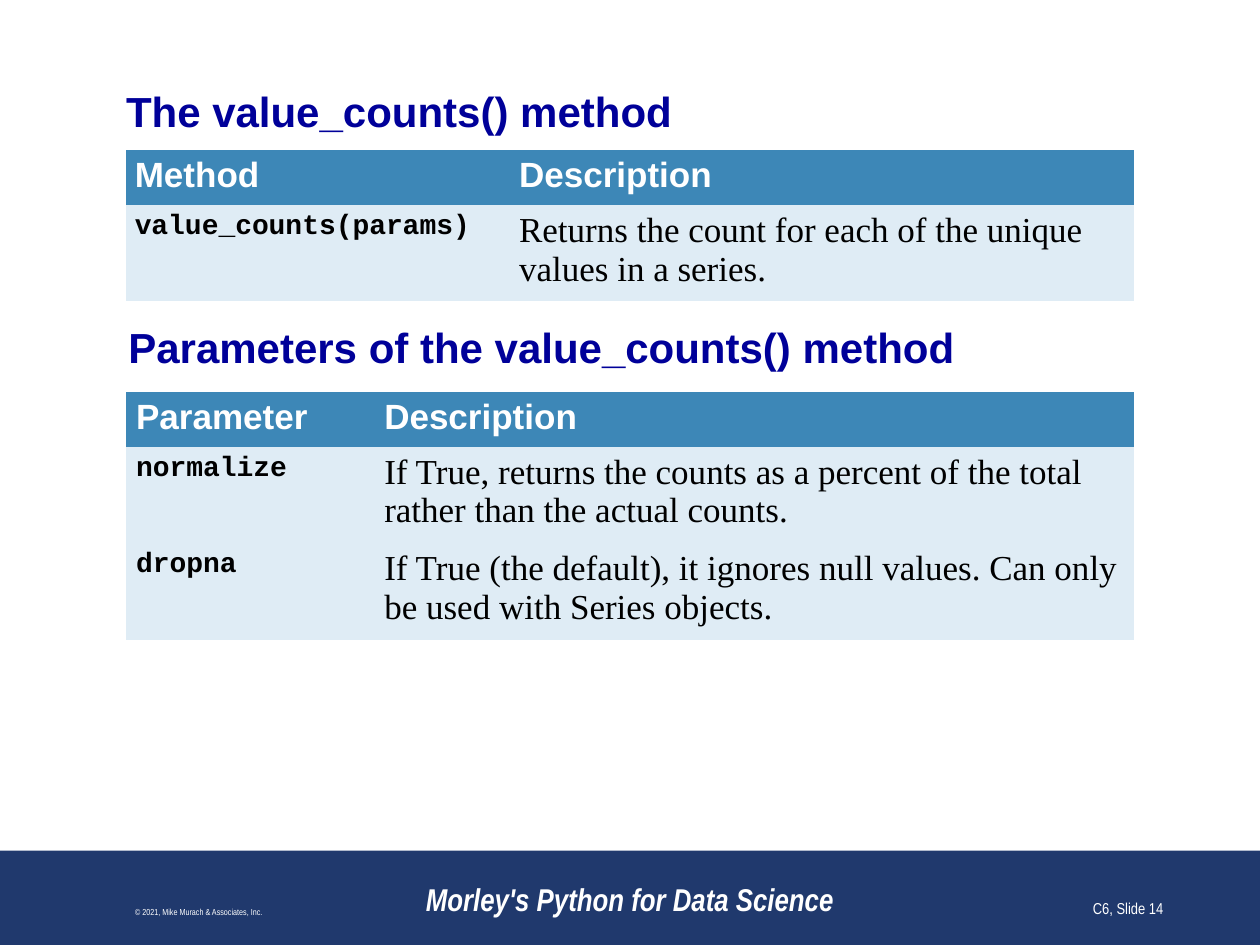
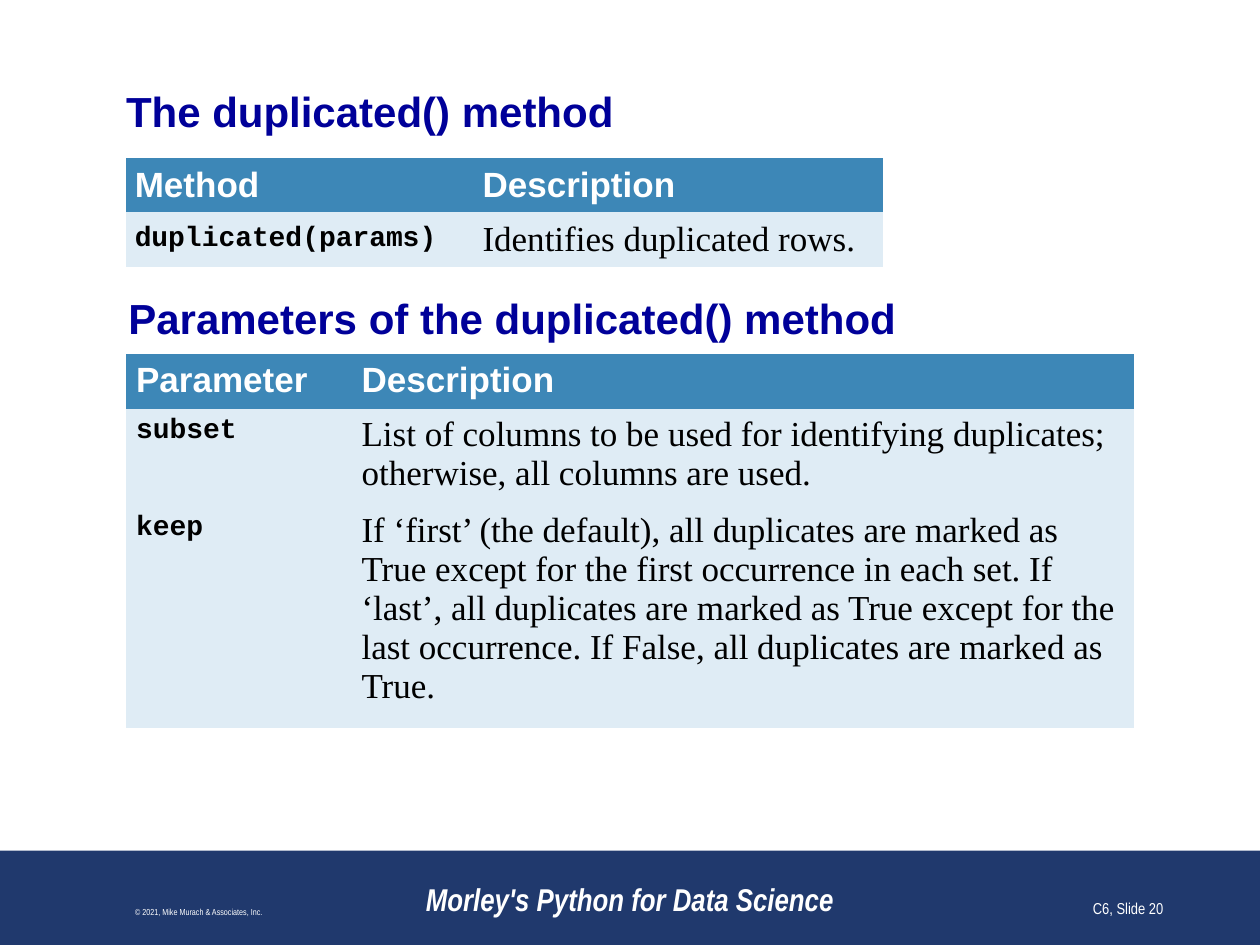
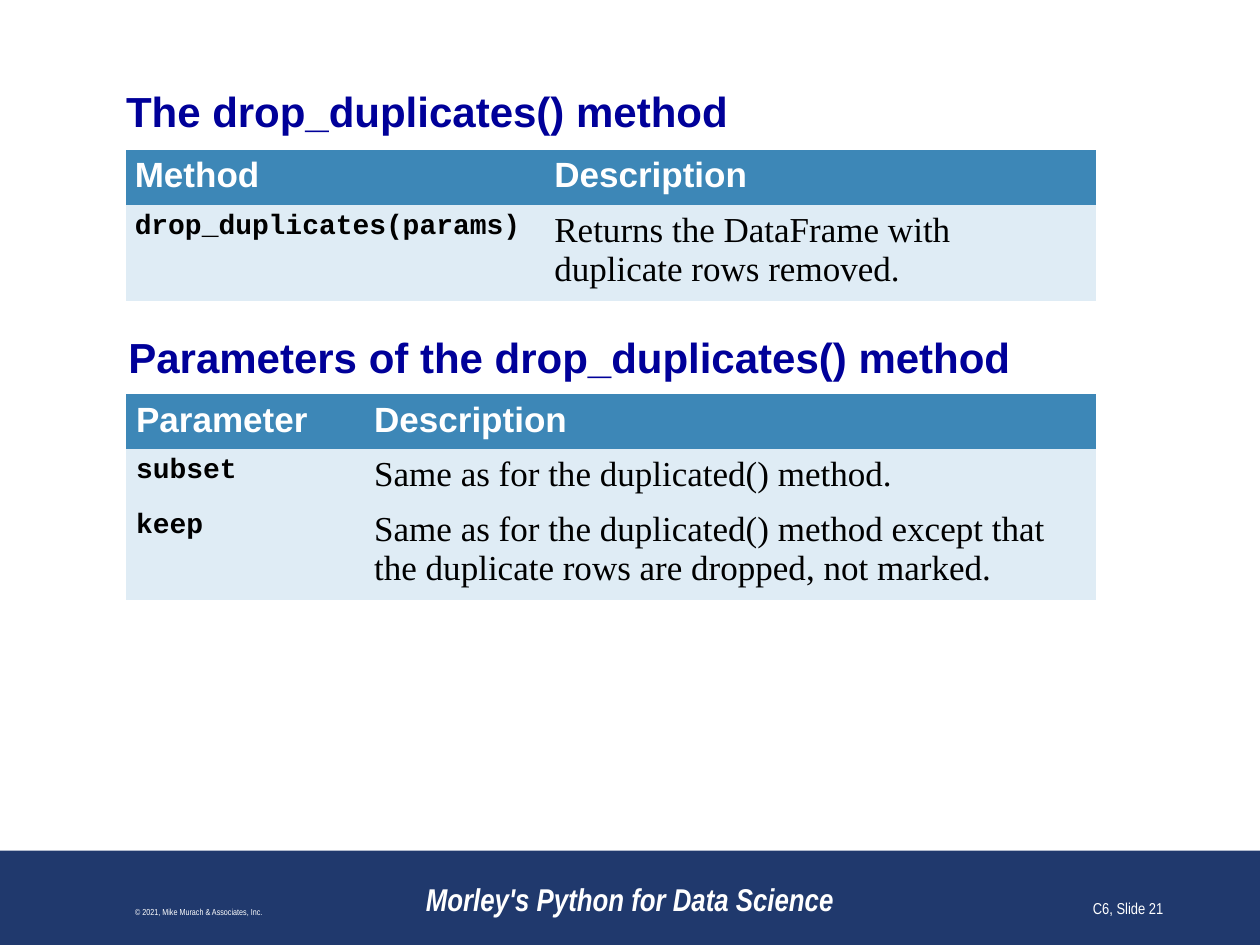
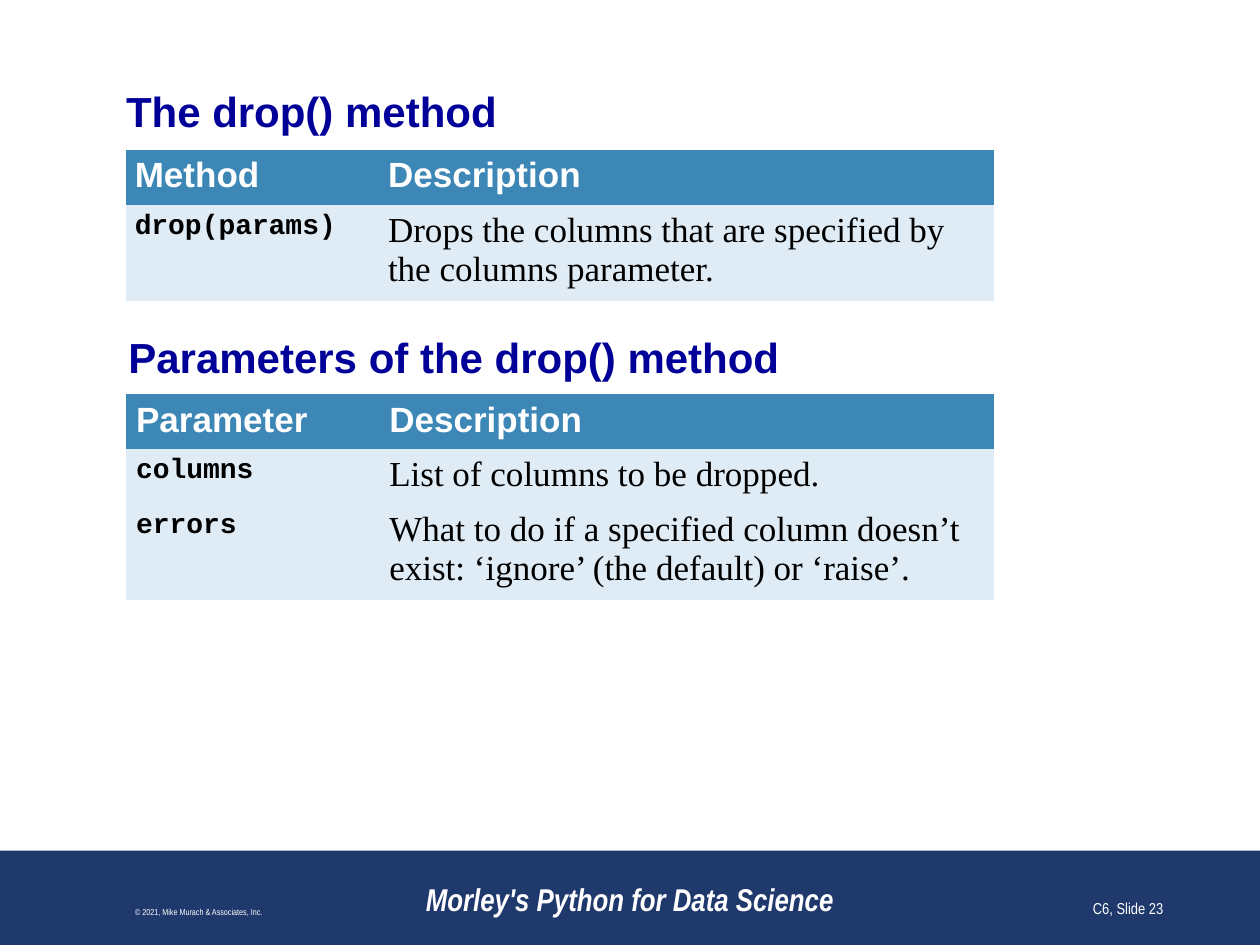
from dataclasses import dataclass

from pptx import Presentation
from pptx import util as u
from pptx.dml.color import RGBColor
from pptx.enum import shapes, text


@dataclass(frozen=True)
class Theme:
    band: str = "20396D"
    title: str = "000099"
    head: str = "3D87B7"
    body: str = "DFECF5"
    white: str = "FFFFFF"
    black: str = "000000"
    sans: str = "Arial"
    slim: str = "Arial Narrow"
    code: str = "Courier New"
    serif: str = "Times New Roman"
    big: int = 24
    mid: int = 20
    small: int = 16
    book: int = 18
    page: int = 9
    tiny: int = 5


@dataclass
class Grid:
    top: float
    width: float
    height: float
    first: float
    inset: float
    rows: list
    anchor: text.MSO_ANCHOR = text.MSO_ANCHOR.TOP


@dataclass
class Page:
    num: int
    name: str
    calls: Grid
    sub: tuple
    params: Grid


T = Theme()
NO_STYLE = "{2D5ABB26-0587-4C30-8999-92F81FD0307C}"
LEFT = 1
TOP = text.MSO_ANCHOR.TOP
MID = text.MSO_ANCHOR.MIDDLE
LOW = text.MSO_ANCHOR.BOTTOM
ALIGN = text.PP_ALIGN

PAGES = [
    Page(14, "value_counts()",
         Grid(1.19, 8, 1.2, 3.05, 0.07, [
             ("Method", "Description"),
             ("value_counts(params)",
              "Returns the count for each of the unique values in a series.")]),
         (2.5, 0.5),
         Grid(3.11, 8, 1.97, 1.97, 0.08, [
             ("Parameter", "Description"),
             ("normalize", "If True, returns the counts as a percent of the total "
                           "rather than the actual counts."),
             ("dropna", "If True (the default), it ignores null values. "
                        "Can only be used with Series objects.")])),
    Page(20, "duplicated()",
         Grid(1.25, 6.01, 0.87, 2.76, 0.07, [
             ("Method", "Description"),
             ("duplicated(params)", "Identifies duplicated rows.")], MID),
         (2.27, 0.57),
         Grid(2.81, 8, 2.97, 1.79, 0.08, [
             ("Parameter", "Description"),
             ("subset", "List of columns to be used for identifying duplicates; "
                        "otherwise, all columns are used."),
             ("keep", "If ‘first’ (the default), all duplicates are marked as True "
                      "except for the first occurrence in each set. If ‘last’, all "
                      "duplicates are marked as True except for the last occurrence. "
                      "If False, all duplicates are marked as True.")])),
    Page(21, "drop_duplicates()",
         Grid(1.19, 7.7, 1.2, 3.33, 0.07, [
             ("Method", "Description"),
             ("drop_duplicates(params)",
              "Returns the DataFrame with duplicate rows removed.")]),
         (2.58, 0.5),
         Grid(3.13, 7.7, 1.63, 1.89, 0.08, [
             ("Parameter", "Description"),
             ("subset", "Same as for the duplicated() method."),
             ("keep", "Same as for the duplicated() method except that "
                      "the duplicate rows are dropped, not marked.")])),
    Page(23, "drop()",
         Grid(1.19, 6.89, 1.2, 2.01, 0.07, [
             ("Method", "Description"),
             ("drop(params)",
              "Drops the columns that are specified by the columns parameter.")]),
         (2.58, 0.5),
         Grid(3.13, 6.89, 1.63, 2.01, 0.08, [
             ("Parameter", "Description"),
             ("columns", "List of columns to be dropped."),
             ("errors", "What to do if a specified column doesn’t exist: "
                        "‘ignore’ (the default) or ‘raise’.")])),
]


def paint(item, color):
    item.fill.solid()
    item.fill.fore_color.rgb = RGBColor.from_string(color)


def write(frame, words, face, size, color, bold=False, slant=False, align=ALIGN.LEFT):
    para = frame.paragraphs[0]
    para.alignment = align
    run = para.add_run()
    run.text = words
    font = run.font
    font.name, font.size = face, u.Pt(size)
    font.bold, font.italic = bold, slant
    font.color.rgb = RGBColor.from_string(color)


def add_box(slide, left, top, width, height, anchor):
    box = slide.shapes.add_textbox(*map(u.Inches, (left, top, width, height)))
    box.text_frame.word_wrap = True
    box.text_frame.vertical_anchor = anchor
    return box


def add_band(slide, layout):
    band = slide.shapes.add_shape(shapes.MSO_SHAPE.RECTANGLE, 0, u.Inches(6.75),
                                  u.Inches(10), u.Inches(0.75))
    band.shadow.inherit = False
    paint(band, T.band)
    band.line.fill.background()
    layout.shapes._spTree.insert(2, band._element)


def add_title(slide, words):
    title = slide.shapes.title
    title.left, title.top = u.Inches(LEFT), u.Inches(0.68)
    title.width, title.height = u.Inches(8), u.Inches(0.4)
    frame = title.text_frame
    frame.margin_left = frame.margin_right = 0
    frame.margin_top = frame.margin_bottom = 0
    frame.vertical_anchor = MID
    frame.auto_size = text.MSO_AUTO_SIZE.SHAPE_TO_FIT_TEXT
    write(frame, words, T.sans, T.big, T.title, True)


def add_sub(slide, words, top, height):
    box = add_box(slide, 0.92, top, 8.08, height, TOP)
    paint(box, T.white)
    write(box.text_frame, words, T.sans, T.big, T.title, True)


def add_grid(slide, grid):
    frame = slide.shapes.add_table(len(grid.rows), 2, u.Inches(LEFT), u.Inches(grid.top),
                                   u.Inches(grid.width), u.Inches(grid.height))
    table = frame.table
    table.horz_banding = False
    table._tbl.tblPr[0].text = NO_STYLE
    table.columns[0].width = u.Inches(grid.first)
    table.columns[1].width = u.Inches(grid.width - grid.first)
    for r, row in enumerate(grid.rows):
        table.rows[r].height = u.Inches(0.25)
        for c, words in enumerate(row):
            cell = table.cell(r, c)
            cell.margin_left = cell.margin_right = u.Inches(grid.inset)
            cell.margin_top = cell.margin_bottom = u.Inches(0.05)
            cell.vertical_anchor = grid.anchor
            paint(cell, T.body if r else T.head)
            if r == 0:
                style = (T.sans, T.mid, T.white, True)
            elif c == 0:
                style = (T.code, T.small, T.black, True)
            else:
                style = (T.serif, T.mid, T.black)
            write(cell.text_frame, words, *style)
    frame.height = u.Inches(grid.height)


def add_foot(slide, num):
    notes = [
        (3, 4, "Morley's Python for Data Science", T.book, True, ALIGN.CENTER),
        (0.08, 3, "© 2021, Mike Murach & Associates, Inc.", T.tiny, False, ALIGN.CENTER),
        (7.25, 2.08, f"C6, Slide {num}", T.page, False, ALIGN.RIGHT),
    ]
    for left, width, words, size, strong, align in notes:
        box = add_box(slide, left, 6.83, width, 0.5, LOW)
        write(box.text_frame, words, T.slim, size, T.white, strong, strong, align)


def main():
    deck = Presentation()
    deck.slide_width, deck.slide_height = u.Inches(10), u.Inches(7.5)
    layout = deck.slide_layouts[5]
    for page in PAGES:
        slide = deck.slides.add_slide(layout)
        if page is PAGES[0]:
            add_band(slide, layout)
        add_title(slide, f"The {page.name} method")
        add_grid(slide, page.calls)
        add_sub(slide, f"Parameters of the {page.name} method", *page.sub)
        add_grid(slide, page.params)
        add_foot(slide, page.num)
    deck.save("out.pptx")


if __name__ == "__main__":
    main()
